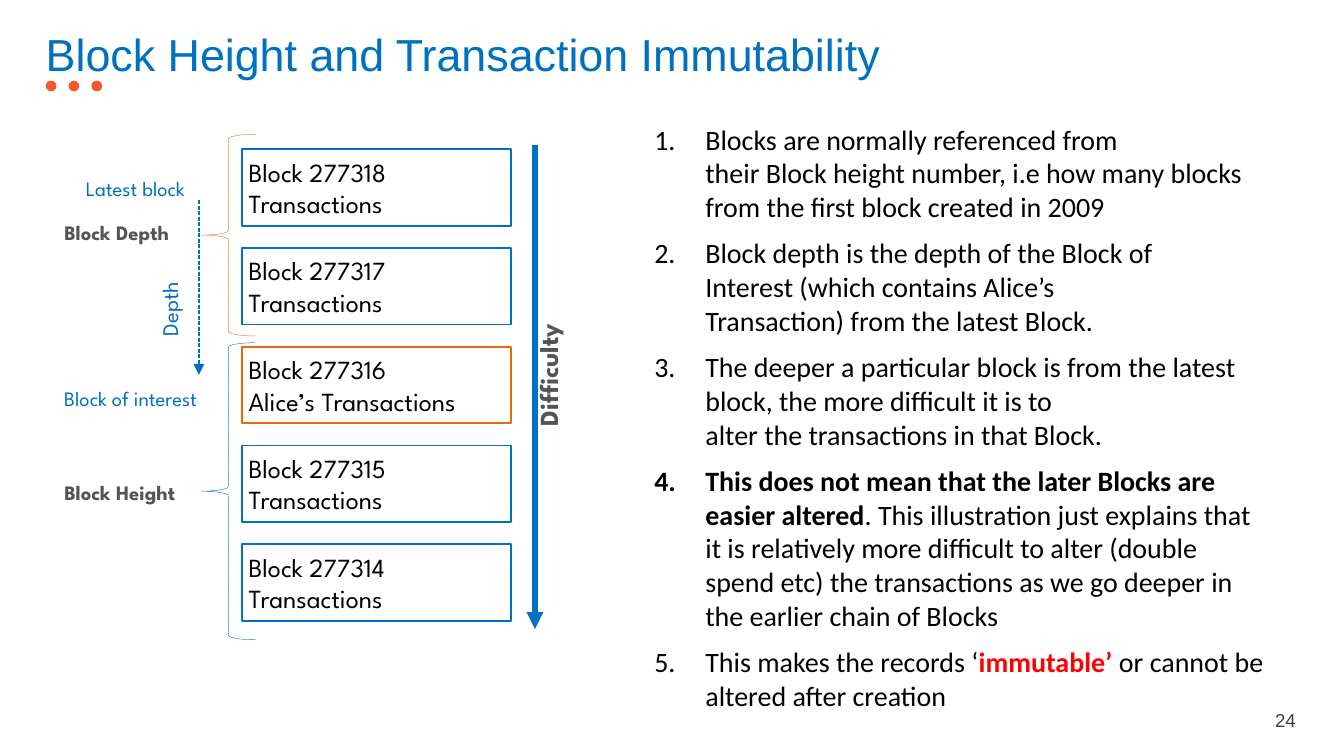
from dataclasses import dataclass

from lxml import etree
from pptx import Presentation
from pptx.dml.color import RGBColor
from pptx.enum import dml, shapes, text
from pptx.oxml import ns
from pptx.util import Inches, Pt


@dataclass(frozen=True)
class Theme:
    blue: str = "0070C0"
    orange: str = "E46C0A"
    dot: str = "F1592D"
    grey: str = "545454"
    dark: str = "404040"
    black: str = "000000"
    red: str = "FF0000"
    plain_font: str = "Arial"
    body_font: str = "Calibri"
    diagram_font: str = "League Spartan"
    title_size: int = 24
    body_size: int = 15
    block_size: int = 14
    depth_size: int = 12
    label_size: int = 11
    number_size: int = 10


THEME = Theme()

BLOCKS = [
    ("Block 277318", "Transactions"),
    ("Block 277317", "Transactions"),
    ("Block 277316", "Alice’s Transactions"),
    ("Block 277315", "Transactions"),
    ("Block 277314", "Transactions"),
]
BLOCK_OF_INTEREST = 2
FIRST_BLOCK_TOP, LAST_BLOCK_TOP = 1.11, 4.05

# Each point is a list of runs: (text, bold, colour)
POINTS = [
    [("Blocks are normally referenced from\ntheir Block height number, i.e how many "
      "blocks from the first block created in 2009", False, THEME.black)],
    [("Block depth is the depth of the Block of\nInterest (which contains Alice’s\n"
      "Transaction) from the latest Block.", False, THEME.black)],
    [("The deeper a particular block is from the latest block, the more difficult "
      "it is to\nalter the transactions in that Block.", False, THEME.black)],
    [("This does not mean that the later Blocks are easier altered", True, THEME.black),
     (". This illustration just explains that it is relatively more difficult to alter "
      "(double spend etc) the transactions as we go deeper in the earlier chain of Blocks",
      False, THEME.black)],
    [("This makes the records ‘", False, THEME.black),
     ("immutable’ ", True, THEME.red),
     ("or cannot be altered after creation", False, THEME.black)],
]


def add_run(paragraph, content, *, size, font, color, bold=False):
    """Add formatted text, turning newlines into line breaks."""
    for index, line in enumerate(content.split("\n")):
        if index:
            paragraph.add_line_break()
        run = paragraph.add_run()
        run.text = line
        run.font.size = Pt(size)
        run.font.name = font
        run.font.bold = bold
        run.font.color.rgb = RGBColor.from_string(color)


def write_lines(frame, lines, *, align=text.PP_ALIGN.LEFT, anchor=text.MSO_ANCHOR.TOP,
                **run_format):
    frame.word_wrap = True
    frame.vertical_anchor = anchor
    for index, line in enumerate(lines):
        paragraph = frame.add_paragraph() if index else frame.paragraphs[0]
        paragraph.alignment = align
        add_run(paragraph, line, **run_format)


def add_label(slide, content, left, top, width, height, *, upright=False, **text_format):
    box = slide.shapes.add_textbox(Inches(left), Inches(top), Inches(width), Inches(height))
    if upright:
        box.element.txBody.bodyPr.set("vert", "vert270")
    write_lines(box.text_frame, [content], **text_format)


def add_outline(slide, kind, left, top, width, height, *, color, weight, dash=None):
    shape = slide.shapes.add_shape(
        kind, Inches(left), Inches(top), Inches(width), Inches(height))
    shape.shadow.inherit = False
    shape.fill.background()
    shape.line.color.rgb = RGBColor.from_string(color)
    shape.line.width = Pt(weight)
    if dash:
        shape.line.dash_style = dash
    return shape


def add_down_arrow(slide, x, top, bottom, *, weight, dash=None):
    arrow = slide.shapes.add_connector(
        shapes.MSO_CONNECTOR.STRAIGHT, Inches(x), Inches(top), Inches(x), Inches(bottom))
    arrow.line.color.rgb = RGBColor.from_string(THEME.blue)
    arrow.line.width = Pt(weight)
    if dash:
        arrow.line.dash_style = dash
    properties = arrow.element.spPr
    etree.SubElement(properties.find(ns.qn("a:ln")), ns.qn("a:tailEnd"), type="triangle")
    etree.SubElement(properties, ns.qn("a:effectLst"))


def add_title(slide):
    title = slide.shapes.title
    title.left, title.top = Inches(0.24), Inches(0.15)
    title.width, title.height = Inches(9.54), Inches(0.5)
    title.text_frame.auto_size = text.MSO_AUTO_SIZE.NONE
    write_lines(title.text_frame, ["Block Height and Transaction Immutability"],
                anchor=text.MSO_ANCHOR.BOTTOM, size=THEME.title_size,
                font=THEME.plain_font, color=THEME.blue)
    # Three dots under the title
    for index in range(3):
        dot = slide.shapes.add_shape(
            shapes.MSO_SHAPE.OVAL, Inches(0.34 + 0.17 * index), Inches(0.6),
            Inches(0.08), Inches(0.08))
        dot.shadow.inherit = False
        dot.fill.solid()
        dot.fill.fore_color.rgb = RGBColor.from_string(THEME.dot)
        dot.line.fill.background()


def add_blocks(slide):
    step = (LAST_BLOCK_TOP - FIRST_BLOCK_TOP) / (len(BLOCKS) - 1)
    for index, lines in enumerate(BLOCKS):
        color = THEME.orange if index == BLOCK_OF_INTEREST else THEME.blue
        block = add_outline(slide, shapes.MSO_SHAPE.RECTANGLE, 1.8,
                            FIRST_BLOCK_TOP + step * index, 2, 0.57, color=color, weight=1)
        frame = block.text_frame
        frame.margin_left = frame.margin_right = Inches(0.05)
        frame.margin_top = frame.margin_bottom = Inches(0.05)
        write_lines(frame, lines, anchor=text.MSO_ANCHOR.MIDDLE, size=THEME.block_size,
                    font=THEME.diagram_font, color=THEME.black)


def add_annotations(slide):
    dash = dml.MSO_LINE.SQUARE_DOT
    # Braces for depth and height
    for top, height, color in ((1, 1.5, THEME.orange), (2.55, 2.21, THEME.blue)):
        add_outline(slide, shapes.MSO_SHAPE.LEFT_BRACE, 1.5, top, 0.4, height,
                    color=color, weight=0.25, dash=dash)

    # Labels left of the chain
    plain = dict(size=THEME.label_size, font=THEME.diagram_font, color=THEME.blue)
    strong = dict(plain, color=THEME.grey, bold=True)
    add_label(slide, "Latest block", 0.54, 1.26, 1.5, 0.29, **plain)
    add_label(slide, "Block Depth", 0.38, 1.59, 1.72, 0.29, **strong)
    add_label(slide, "Block of interest", 0.38, 2.82, 1.5, 0.29, **plain)
    add_label(slide, "Block Height", 0.38, 3.52, 1.72, 0.29, **strong)

    # Arrows with upright labels
    add_down_arrow(slide, 1.48, 1.49, 2.79, weight=0.75, dash=dash)
    add_label(slide, "Depth", 1.11, 1.94, 0.4, 0.66, upright=True,
              **dict(plain, size=THEME.depth_size))
    add_down_arrow(slide, 3.98, 1.08, 4.68, weight=3)
    add_label(slide, "Difficulty", 3.91, 2.1, 0.44, 1.38, upright=True,
              align=text.PP_ALIGN.CENTER, **dict(strong, size=THEME.block_size))


def add_points(slide):
    box = slide.shapes.add_textbox(Inches(4.77), Inches(0.86), Inches(4.75), Inches(4.33))
    frame = box.text_frame
    frame.word_wrap = True
    for index, runs in enumerate(POINTS):
        paragraph = frame.add_paragraph() if index else frame.paragraphs[0]
        if index:
            paragraph.space_before = Pt(7)
        properties = paragraph._p.get_or_add_pPr()
        properties.set("marL", str(Inches(0.38)))
        properties.set("indent", str(-Inches(0.38)))
        etree.SubElement(properties, ns.qn("a:buFont"), typeface="+mj-lt")
        etree.SubElement(properties, ns.qn("a:buAutoNum"), type="arabicPeriod")
        for content, bold, color in runs:
            add_run(paragraph, content, size=THEME.body_size, font=THEME.body_font,
                    color=color, bold=bold)


def main():
    presentation = Presentation()
    # Widescreen, 16:9
    presentation.slide_width = Inches(10)
    presentation.slide_height = Inches(10 * 9 / 16)
    slide = presentation.slides.add_slide(presentation.slide_layouts[5])
    add_title(slide)
    add_blocks(slide)
    add_annotations(slide)
    add_points(slide)
    # Slide number
    add_label(slide, "24", 9.23, 5.2, 0.51, 0.31, align=text.PP_ALIGN.RIGHT,
              anchor=text.MSO_ANCHOR.MIDDLE, size=THEME.number_size,
              font=THEME.plain_font, color=THEME.dark)
    presentation.save("out.pptx")


if __name__ == "__main__":
    main()
